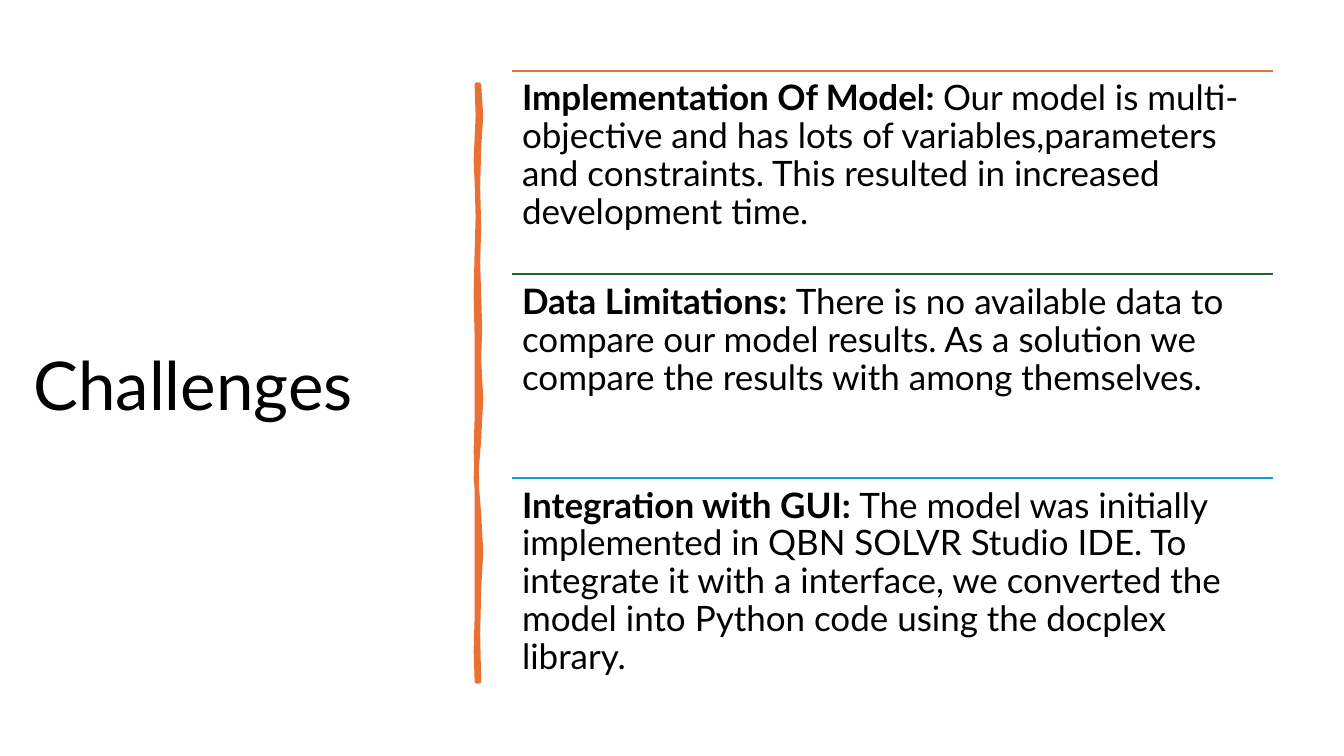
from dataclasses import dataclass

from lxml import etree
from pptx import Presentation
from pptx.dml.color import RGBColor
from pptx.enum.shapes import MSO_CONNECTOR
from pptx.enum.text import MSO_ANCHOR, MSO_AUTO_SIZE, PP_ALIGN
from pptx.oxml.ns import qn
from pptx.util import Pt

STRAIGHT = MSO_CONNECTOR.STRAIGHT
TOP, MIDDLE = MSO_ANCHOR.TOP, MSO_ANCHOR.MIDDLE
NO_FIT = MSO_AUTO_SIZE.NONE
LEFT = PP_ALIGN.LEFT

PX = 9144  # EMU per px, 100 px to the inch
FONT = "Lato"
COLOURS = {
    "text": "000000",
    "orange": "E97132",
    "green": "196B24",
    "blue": "0F9ED5",
}

LIST_LEFT, LIST_TOP, LIST_WIDTH, ROW_HEIGHT = 508, 70, 755, 202

# Hand-drawn bar: down its right edge, then up its left edge
BAR_RIGHT = [
    (475, 84), (477, 115), (475, 146), (474, 186), (475, 226), (474, 260),
    (475, 294), (476, 325), (475, 356), (477, 396), (475, 436), (472, 473),
    (475, 510), (477, 547), (475, 584), (474, 630), (475, 676),
]
BAR_LEFT = [
    (473, 676), (472, 645), (473, 613), (473, 557), (473, 477), (472, 446),
    (473, 415), (473, 335), (472, 292), (473, 250), (474, 215), (473, 181),
    (472, 160), (474, 115), (473, 84),
]


@dataclass
class Challenge:
    heading: str
    detail: str
    colour: str


CHALLENGES = [
    Challenge(
        "Implementation Of Model: ",
        "Our model is multi-objective and has lots of variables,parameters "
        "and constraints. This resulted in increased development time.",
        "orange",
    ),
    Challenge(
        "Data Limitations: ",
        "There is no available data to compare our model results. As a "
        "solution we compare the results with among themselves.",
        "green",
    ),
    Challenge(
        "Integration with GUI: ",
        "The model was initially implemented in QBN SOLVR Studio IDE. To "
        "integrate it with a interface, we converted the model into Python "
        "code using the docplex library.",
        "blue",
    ),
]


def colour(name: str) -> RGBColor:
    return RGBColor.from_string(COLOURS[name])


def set_all(target, values: dict) -> None:
    for name, value in values.items():
        setattr(target, name, value)


def add_span(para, text: str, size: int, bold: bool = False) -> None:
    span = para.add_run()
    span.text = text
    set_all(span.font, {"name": FONT, "size": Pt(size), "bold": bold})
    span.font.color.rgb = colour("text")


def format_title(title) -> None:
    set_all(title, {"left": 23 * PX, "top": 52 * PX,
                    "width": 427 * PX, "height": 611 * PX})
    frame = title.text_frame
    # The deep top margin sets the word below the middle of the box
    set_all(frame, {"vertical_anchor": MIDDLE, "auto_size": NO_FIT,
                    "word_wrap": True, "margin_left": 10 * PX,
                    "margin_right": 10 * PX, "margin_top": 62 * PX,
                    "margin_bottom": 5 * PX})
    para = frame.paragraphs[0]
    set_all(para, {"alignment": LEFT, "line_spacing": 0.9})
    add_span(para, "Challenges", 48)


def add_bar(page) -> None:
    builder = page.shapes.build_freeform(*BAR_RIGHT[0], scale=float(PX))
    builder.add_line_segments(BAR_RIGHT[1:] + BAR_LEFT, close=True)
    bar = builder.convert_to_shape()
    bar.shadow.inherit = False
    bar.fill.solid()
    bar.fill.fore_color.rgb = colour("orange")
    bar.line.color.rgb = colour("orange")
    bar.line.width = Pt(3.25)
    etree.SubElement(bar.line._get_or_add_ln(), qn("a:round"))


def add_rule(page, top: int, colour_name: str) -> None:
    rule = page.shapes.add_connector(
        STRAIGHT, LIST_LEFT * PX, top * PX,
        (LIST_LEFT + LIST_WIDTH) * PX, top * PX)
    rule.line.color.rgb = colour(colour_name)
    rule.line.width = Pt(1.5)
    etree.SubElement(rule._element.spPr, qn("a:effectLst"))


def add_challenge(page, challenge: Challenge, top: int) -> None:
    add_rule(page, top, challenge.colour)
    box = page.shapes.add_textbox(
        LIST_LEFT * PX, top * PX, LIST_WIDTH * PX, ROW_HEIGHT * PX)
    frame = box.text_frame
    set_all(frame, {"word_wrap": True, "vertical_anchor": TOP})
    set_all(frame, {f"margin_{side}": 10 * PX
                    for side in ("left", "top", "right", "bottom")})
    para = frame.paragraphs[0]
    set_all(para, {"alignment": LEFT, "line_spacing": 0.9})
    add_span(para, challenge.heading, 25, bold=True)
    add_span(para, challenge.detail, 25)


def main() -> None:
    deck = Presentation()
    set_all(deck, {"slide_width": 1333 * PX, "slide_height": 750 * PX})
    page = deck.slides.add_slide(deck.slide_layouts[5])

    # Title and bar
    format_title(page.shapes.title)
    add_bar(page)

    # Ruled list of challenges
    for row, challenge in enumerate(CHALLENGES):
        add_challenge(page, challenge, LIST_TOP + row * ROW_HEIGHT)

    deck.save("out.pptx")


if __name__ == "__main__":
    main()
